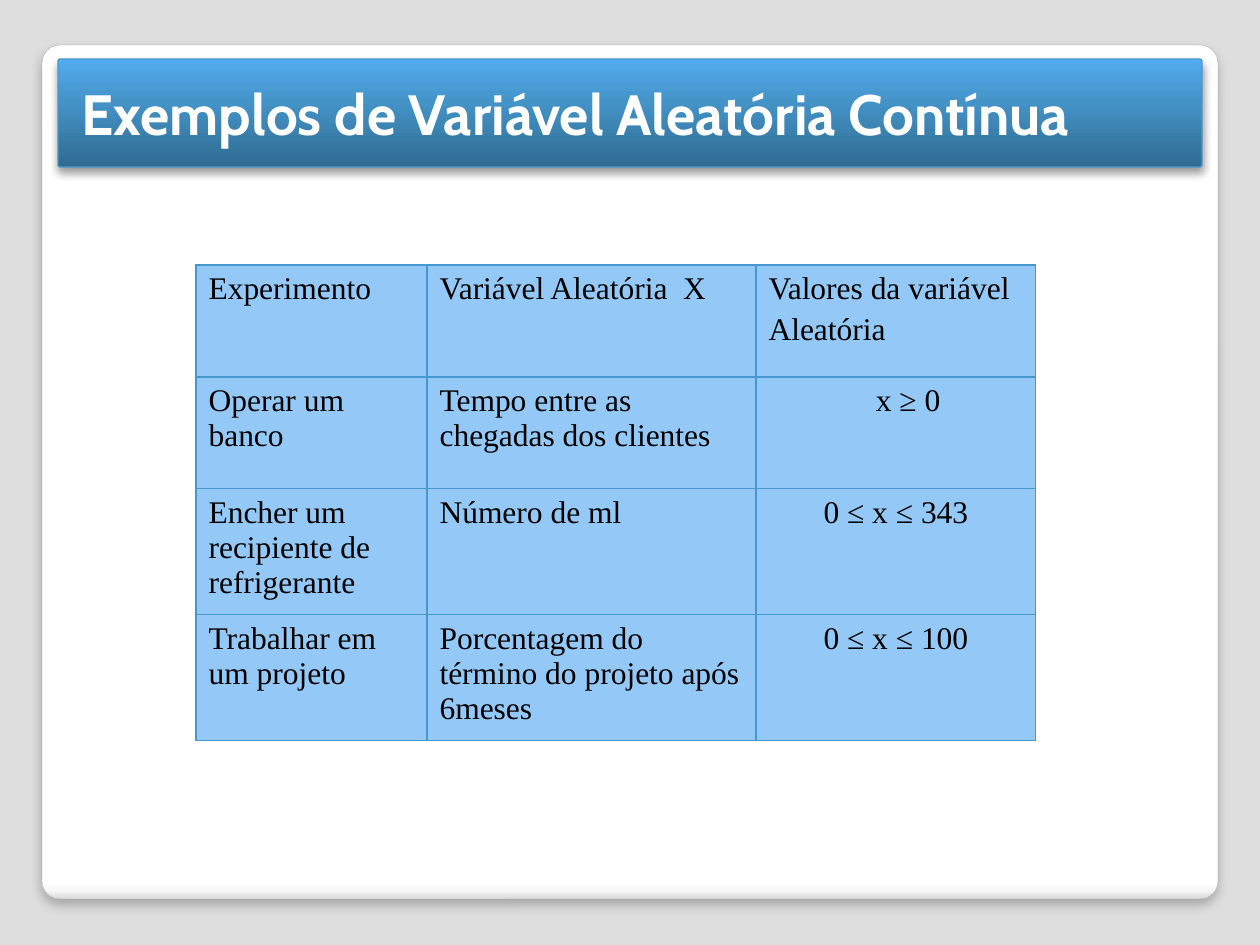
from lxml.etree import SubElement
from pptx import Presentation
from pptx.dml.color import RGBColor
from pptx.enum.shapes import MSO_SHAPE
from pptx.enum.text import MSO_ANCHOR, MSO_AUTO_SIZE, PP_ALIGN
from pptx.oxml import parse_xml
from pptx.oxml.ns import nsdecls, qn
from pptx.util import Pt

# Content
TITLE = "Exemplos de Variável Aleatória Contínua"
ROWS = [
    ("Experimento", "Variável Aleatória  X", "Valores da variável\nAleatória"),
    ("Operar um banco", "Tempo entre as chegadas dos clientes", "x ≥ 0"),
    ("Encher um recipiente de refrigerante", "Número de ml", "0 ≤ x ≤ 343"),
    ("Trabalhar em um projeto",
     "Porcentagem do término do projeto após 6meses", "0 ≤ x ≤ 100"),
]

# Layout in px and format values
EMU_PER_PX = 914400 // 126
COLUMN_WIDTHS = (231, 329, 280)
ROW_HEIGHTS = (112, 112, 126, 126)
TABLE_LEFT, TABLE_TOP = 196, 265
INDENTED_CELL, INDENTED_MARGIN = (1, 2), 37
BORDER = "4697CB"
CELL_FILL = "94C9F7"
TITLE_FONT = {"name": "Cabin", "size": Pt(32.4), "bold": True}
TABLE_FONT = {"name": "Times New Roman", "size": Pt(18), "bold": False}
PANELS = [
    {"box": (42, 45, 1176, 854), "angle": 90, "line": ("A4A4A4", 0.16),
     "stops": [(0, "FFFFFF"), (98, "FFFFFF"), (99, "F7F7F7"), (100, "DADADA")],
     "shadow": {"alpha": 25, "blur": 6, "distance": 4}},
    {"box": (58, 59, 1144, 108), "angle": 270, "line": (BORDER, 0.75),
     "stops": [(0, "306B91"), (60, "4493C7"), (100, "53ACF0")],
     "shadow": {"alpha": 40, "blur": 5.2, "distance": 3}},
]


def px(value):
    return value * EMU_PER_PX


def color(code):
    return RGBColor.from_string(code)


def set_font(font, values, code):
    for name, value in values.items():
        setattr(font, name, value)
    font.color.rgb = color(code)


def add_panel(slide, panel):
    shape = slide.shapes.add_shape(
        MSO_SHAPE.ROUNDED_RECTANGLE, *map(px, panel["box"]))
    shape.adjustments[0] = 0.021
    line_color, line_width = panel["line"]
    shape.line.color.rgb = color(line_color)
    shape.line.width = Pt(line_width)
    shape.shadow.inherit = False
    properties = shape._element.spPr

    # Gradient fill, placed right after the geometry
    stops = "".join(
        f'<a:gs pos="{position * 1000}"><a:srgbClr val="{code}"/></a:gs>'
        for position, code in panel["stops"])
    gradient = parse_xml(
        f'<a:gradFill {nsdecls("a")} rotWithShape="1"><a:gsLst>{stops}</a:gsLst>'
        f'<a:lin ang="{panel["angle"] * 60000}" scaled="0"/></a:gradFill>')
    properties.find(qn("a:prstGeom")).addnext(gradient)

    # Soft shadow falling straight down
    shadow = panel["shadow"]
    properties.find(qn("a:effectLst")).append(parse_xml(
        f'<a:outerShdw {nsdecls("a")} blurRad="{int(Pt(shadow["blur"]))}" '
        f'dist="{int(Pt(shadow["distance"]))}" dir="5400000" algn="t" '
        f'rotWithShape="0"><a:srgbClr val="000000">'
        f'<a:alpha val="{shadow["alpha"] * 1000}"/></a:srgbClr></a:outerShdw>'))


def place_title(slide):
    title = slide.shapes.title
    title.left, title.top, title.width, title.height = map(px, (69, 59, 1128, 108))
    frame = title.text_frame
    frame.text = TITLE
    frame.word_wrap = True
    frame.auto_size = MSO_AUTO_SIZE.NONE
    frame.vertical_anchor = MSO_ANCHOR.MIDDLE
    paragraph = frame.paragraphs[0]
    paragraph.alignment = PP_ALIGN.LEFT
    set_font(paragraph.runs[0].font, TITLE_FONT, "FFFFFF")
    slide.shapes._spTree.append(title._element)  # in front of the panels


def set_borders(cell):
    properties = cell._tc.get_or_add_tcPr()
    for index, side in enumerate(("lnL", "lnR", "lnT", "lnB")):
        line = parse_xml(f'<a:{side} {nsdecls("a")} w="{int(Pt(0.75))}"/>')
        fill = SubElement(line, qn("a:solidFill"))
        SubElement(fill, qn("a:srgbClr"), val=BORDER)
        properties.insert(index, line)


def add_examples_table(slide):
    table = slide.shapes.add_table(
        len(ROWS), len(COLUMN_WIDTHS), px(TABLE_LEFT), px(TABLE_TOP),
        px(sum(COLUMN_WIDTHS)), px(sum(ROW_HEIGHTS))).table
    for column, width in zip(table.columns, COLUMN_WIDTHS):
        column.width = px(width)
    for row, height in zip(table.rows, ROW_HEIGHTS):
        row.height = px(height)
    for row_index, texts in enumerate(ROWS):
        for column_index, text in enumerate(texts):
            cell = table.cell(row_index, column_index)
            cell.text = text
            cell.fill.solid()
            cell.fill.fore_color.rgb = color(CELL_FILL)
            set_borders(cell)
            if (row_index, column_index) == INDENTED_CELL:
                cell.margin_left = px(INDENTED_MARGIN)
            centered = row_index > 0 and column_index == 2
            for paragraph in cell.text_frame.paragraphs:
                paragraph.alignment = PP_ALIGN.CENTER if centered else PP_ALIGN.LEFT
                paragraph.space_before = Pt(3.6)
                set_font(paragraph.runs[0].font, TABLE_FONT, "000000")


def main():
    presentation = Presentation()
    presentation.slide_width, presentation.slide_height = px(1260), px(945)
    slide = presentation.slides.add_slide(presentation.slide_layouts[5])
    slide.background.fill.solid()
    slide.background.fill.fore_color.rgb = color("DEDEDE")
    for panel in PANELS:
        add_panel(slide, panel)
    place_title(slide)
    add_examples_table(slide)
    presentation.save("out.pptx")


if __name__ == "__main__":
    main()
